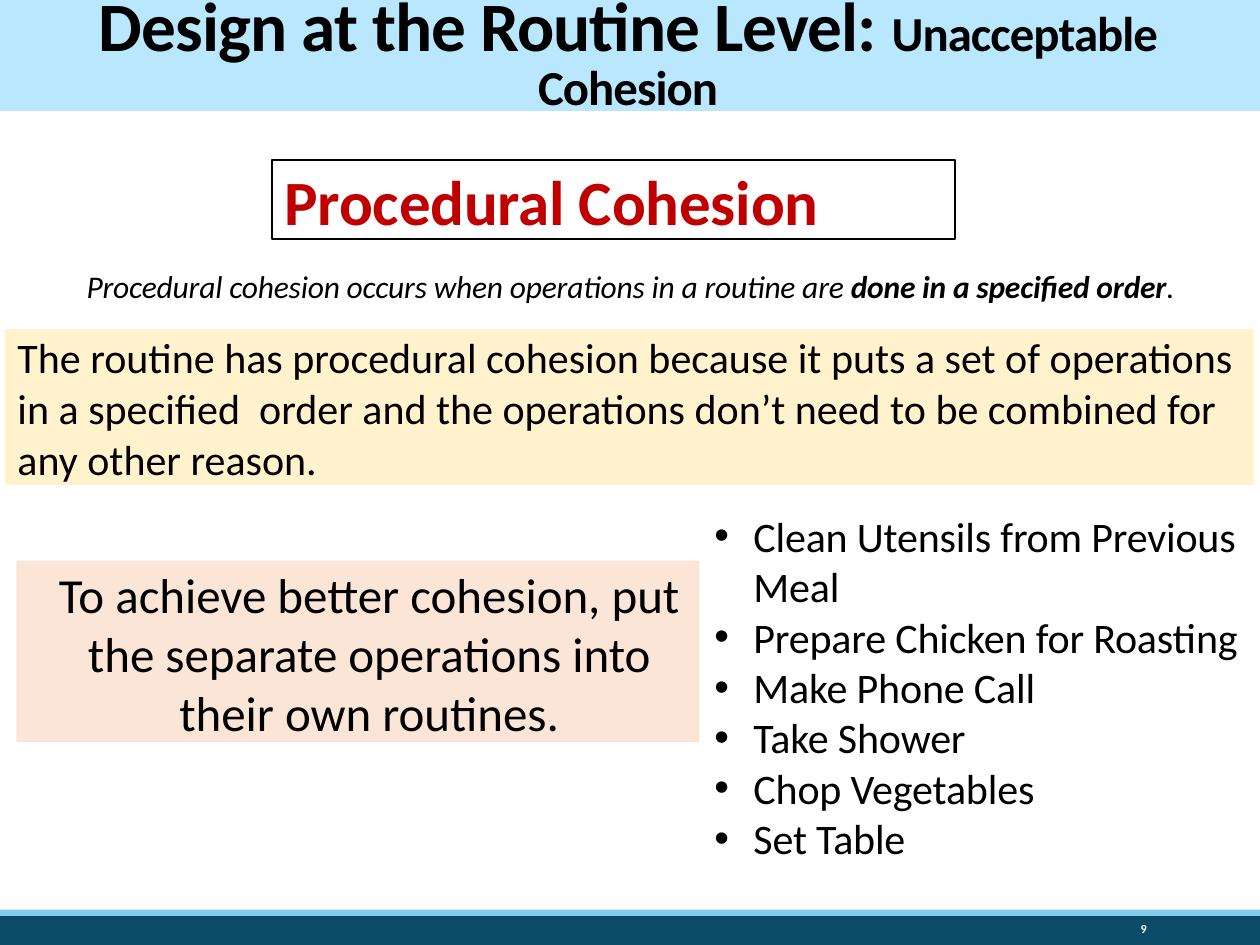
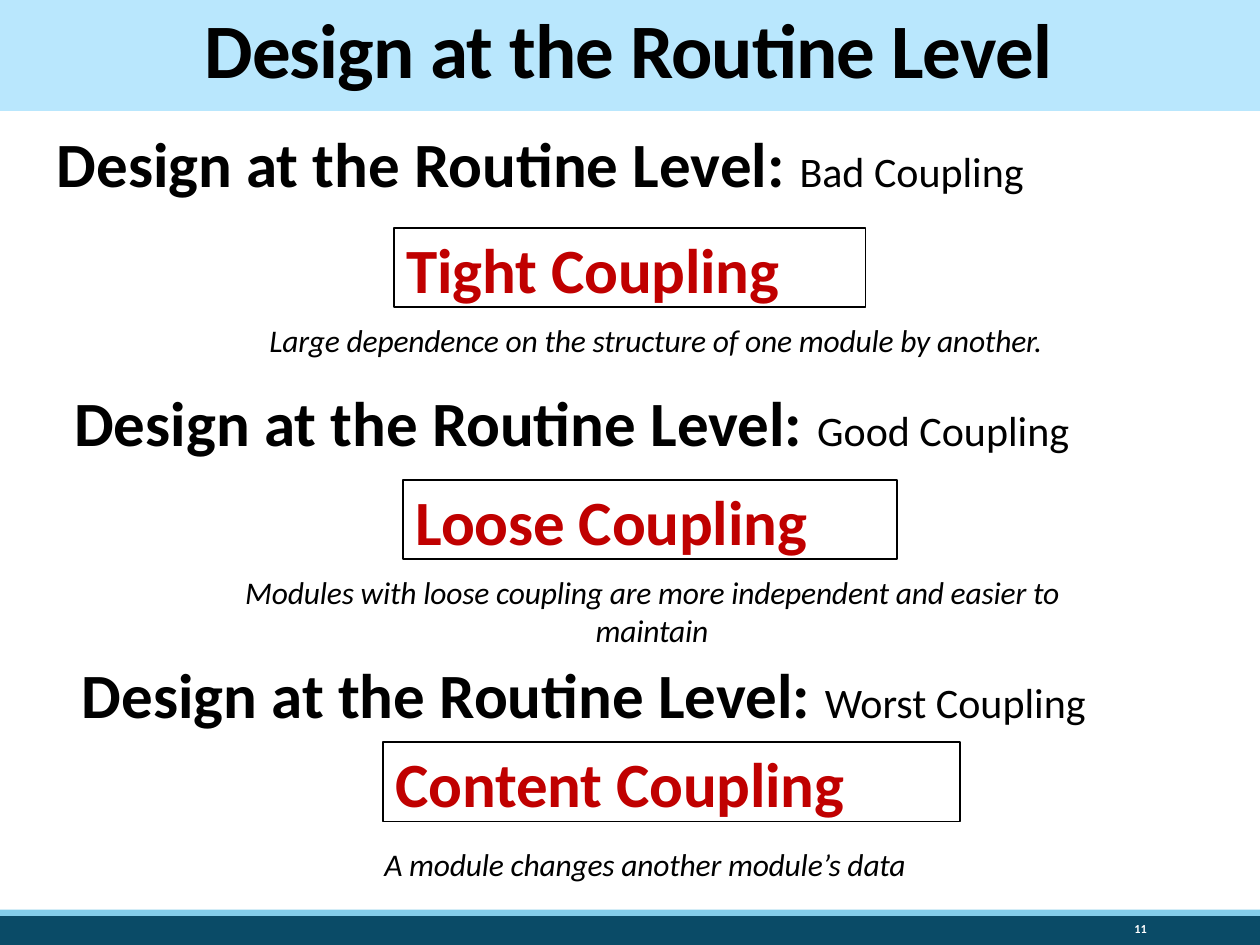
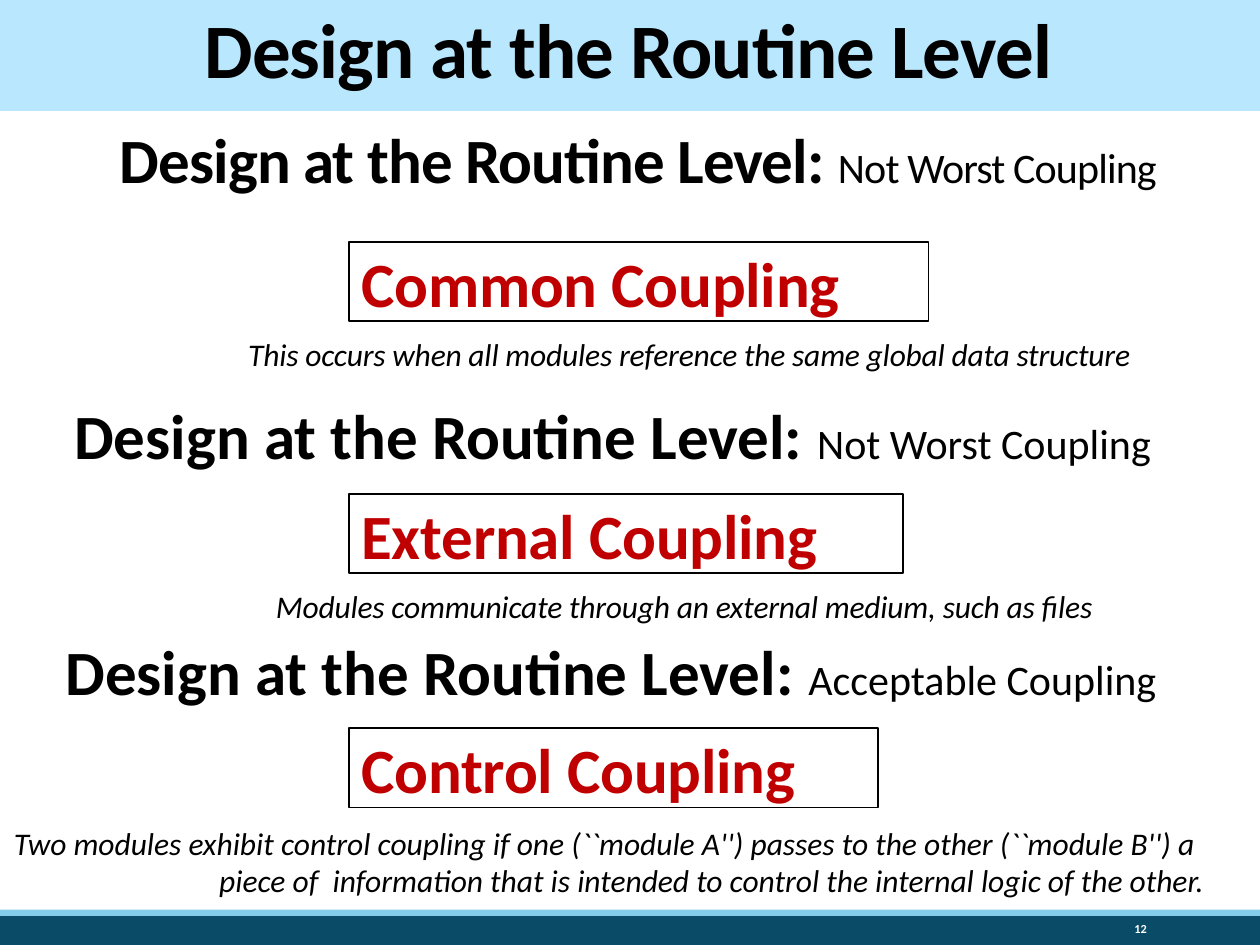
"""Build three slides on cohesion and coupling at the routine level."""
from pptx import Presentation, util as u
from pptx.dml.color import RGBColor
from pptx.enum import shapes, text
from lxml import etree

COLORS = {"ink": "000000", "red": "C00000", "white": "FFFFFF", "title": "B9E7FD",
          "footer": "0A4B67", "stripe": "84CDEA", "cream": "FFF2CC", "peach": "FBE5D6"}
FONT = "Calibri"
TOPIC = "Design at the Routine Level"
LEFT, CENTER, RIGHT = text.PP_ALIGN.LEFT, text.PP_ALIGN.CENTER, text.PP_ALIGN.RIGHT
MIDDLE = text.MSO_ANCHOR.MIDDLE

STYLES = {
    "title": dict(size=44, bold=True, spc=-50, align=CENTER, spacing=0.85, anchor=MIDDLE,
                  ins=(0.1, 0.05, 0.1, 0.05)),
    "number": dict(size=7, bold=True, color="white", align=RIGHT, spacing=0.9, anchor=MIDDLE,
                   ins=(0.1, 0.05, 0.1, 0.05)),
    "heading": dict(size=36, bold=True, ins=(0.01, 0.01, 0, 0)),
    "tag": dict(size=36, bold=True, color="red", spc=-10, ins=(0.1, 0.02, 0, 0)),
    "caption": dict(size=18, italic=True, spc=-10, ins=(0.01, 0.01, 0, 0)),
    "note": dict(size=24, spacing=1.01, ins=(0.1, 0.02, 0, 0)),
    "advice": dict(size=28, align=CENTER, ins=(0.18, 0.03, 0, 0)),
    "list": dict(size=24, spc=-10, hang=(0.33, -0.31), bullet="•", ins=(0, 0.01, 0, 0)),
}


class Deck:
    """Hold the shared style and the current slide."""

    def __init__(self):
        self.prs = Presentation()
        self.prs.slide_width, self.prs.slide_height = u.Inches(10), u.Inches(7.5)
        self.s = None

    def color(self, name):
        return RGBColor.from_string(COLORS[name])

    def slide(self, number, title=((TOPIC, {}),), layout=5):
        self.s = self.prs.slides.add_slide(self.prs.slide_layouts[layout])
        if len(self.prs.slides) == 1:
            self.master_bands()
        sp = self.place(self.s.shapes.title, (-0.03, -0.01, 10.03, 0.89))
        self.paint(sp, "title")
        self.fill_text(sp, [title], "title")
        self.label((8.12, 7.27, 1.08, 0.21), str(number), "number")

    def master_bands(self):
        tree = self.prs.slide_master.shapes.element
        bands = [("footer", 7.27, 0.24), ("stripe", 7.22, 0.05)]
        for i, (fill, top, height) in enumerate(bands):
            sp = self.rect((0, top, 10, height), fill)
            sp.element.nvSpPr.cNvPr.set("id", str(100 + i))
            tree.append(sp.element)

    def place(self, sp, at):
        for name, value in zip(("left", "top", "width", "height"), at):
            setattr(sp, name, u.Inches(value))
        return sp

    def paint(self, sp, fill):
        sp.fill.solid()
        sp.fill.fore_color.rgb = self.color(fill)

    def rect(self, at, fill=None):
        sp = self.s.shapes.add_shape(shapes.MSO_SHAPE.RECTANGLE, *map(u.Inches, at))
        sp.shadow.inherit = False
        if fill:
            self.paint(sp, fill)
            sp.line.fill.background()
        else:
            sp.fill.background()
            sp.line.color.rgb = self.color("ink")
            sp.line.width = u.Pt(1)
        return sp

    def fill_text(self, sp, paragraphs, style, **changes):
        fmt = {**STYLES[style], **changes}
        tf = sp.text_frame
        frame = dict(word_wrap=True, auto_size=text.MSO_AUTO_SIZE.NONE,
                     vertical_anchor=fmt.get("anchor", text.MSO_ANCHOR.TOP))
        for side, inset in zip(("left", "top", "right", "bottom"), fmt["ins"]):
            frame["margin_" + side] = u.Inches(inset)
        for name, value in frame.items():
            setattr(tf, name, value)
        for i, runs in enumerate(paragraphs):
            p = tf.add_paragraph() if i else tf.paragraphs[0]
            self.shape_paragraph(p, fmt)
            for words, extra in runs:
                self.add_words(p, words, {**fmt, **extra})

    def shape_paragraph(self, p, fmt):
        values = dict(alignment=fmt.get("align", LEFT), space_before=u.Pt(0),
                      space_after=u.Pt(0), line_spacing=fmt.get("spacing", 1.0))
        for name, value in values.items():
            setattr(p, name, value)
        pPr = p._p.get_or_add_pPr()
        for name, inches in zip(("marL", "indent"), fmt.get("hang", (0, 0))):
            pPr.set(name, str(u.Inches(inches)))
        if "bullet" in fmt:
            ns = pPr.nsmap["a"]
            etree.SubElement(pPr, f"{{{ns}}}buChar").set("char", fmt["bullet"])

    def add_words(self, p, words, fmt):
        r = p.add_run()
        r.text = words
        values = dict(name=FONT, size=u.Pt(fmt["size"]), bold=fmt.get("bold", False),
                      italic=fmt.get("italic", False))
        for name, value in values.items():
            setattr(r.font, name, value)
        r.font.color.rgb = self.color(fmt.get("color", "ink"))
        r._r.get_or_add_rPr().set("spc", str(fmt.get("spc", 0)))

    def label(self, at, words, style, **changes):
        runs = [(words, {})] if isinstance(words, str) else words
        sp = self.s.shapes.add_textbox(*map(u.Inches, at))
        self.fill_text(sp, [runs], style, **changes)

    def panel(self, at, words, style, fill=None):
        self.fill_text(self.rect(at, fill), [[(words, {})]], style)

    def tag(self, left, top, width, words):
        self.panel((left, top, width, 0.63), words, "tag")

    def heading(self, left, top, width, kind, **changes):
        runs = [(TOPIC + ": ", {}), (kind, dict(size=24, bold=False))]
        self.label((left, top, width, 0.62), runs, "heading", **changes)

    def caption(self, at, words, **changes):
        self.label(at, words, "caption", **changes)

    def bullets(self, at, items):
        sp = self.place(self.s.placeholders[1], at)
        self.fill_text(sp, [[(item, {})] for item in items], "list")


def cohesion(d):
    d.slide(9, [(TOPIC + ": ", dict(size=39.6)), ("Unacceptable Cohesion", dict(size=27.9))], 1)
    d.tag(2.16, 1.27, 5.42, "Procedural Cohesion")
    d.caption((0.21, 2.11, 9.58, 0.62),
              [("Procedural cohesion occurs when operations in a routine are ", {}),
               ("done in a specified order", dict(bold=True)), (".", {})], align=CENTER)
    d.panel((0.04, 2.61, 9.91, 1.24),
            "The routine has procedural cohesion because it puts a set of operations in a "
            "specified  order and the operations don’t need to be combined for any other reason.",
            "note", "cream")
    d.bullets((5.65, 4.04, 4.65, 2.82),
              ["Clean Utensils from Previous Meal", "Prepare Chicken for Roasting",
               "Make Phone Call", "Take Shower", "Chop Vegetables", "Set Table"])
    d.panel((0.13, 4.45, 5.42, 1.44),
            "To achieve better cohesion, put the separate operations into their own routines.",
            "advice", "peach")


def bad_to_worst(d):
    d.slide(11)
    d.heading(0.44, 0.98, 8.07, "Bad Coupling")
    d.tag(3.13, 1.81, 3.74, "Tight Coupling")
    d.caption((1.45, 2.54, 7.5, 0.32),
              "Large dependence on the structure of one module by another.", align=CENTER)
    d.heading(0.58, 3.03, 8.07, "Good Coupling")
    d.tag(3.2, 3.81, 3.92, "Loose Coupling")
    d.caption((1.7, 4.54, 6.94, 0.62),
              "Modules with loose coupling are more independent and easier to maintain",
              align=CENTER)
    d.heading(0.64, 5.19, 8.22, "Worst Coupling")
    d.tag(3.04, 5.89, 4.58, "Content Coupling")
    d.caption((3.04, 6.7, 4.87, 0.32), "A module changes another module’s data")


def not_worst_to_acceptable(d):
    d.slide(12)
    d.heading(0.58, 1.01, 8.97, "Not Worst Coupling", align=CENTER, spacing=0.85, spc=-50,
              anchor=MIDDLE, ins=(0.1, 0.01, 0.1, 0.05))
    d.tag(2.77, 1.92, 4.6, "Common Coupling")
    d.caption((1.96, 2.65, 7.89, 0.32),
              "This occurs when all modules reference the same global data structure")
    d.heading(0.58, 3.14, 8.97, "Not Worst Coupling")
    d.tag(2.77, 3.92, 4.4, "External Coupling")
    d.caption((2.18, 4.65, 7.58, 0.32),
              "Modules communicate through an external medium, such as files")
    d.heading(0.51, 5.01, 9.11, "Acceptable Coupling")
    d.tag(2.77, 5.78, 4.2, "Control Coupling")
    d.caption((0.1, 6.52, 9.9, 0.62),
              "Two modules exhibit control coupling if one (``module A'') passes to the other "
              "(``module B'') a piece of  information that is intended to control the internal "
              "logic of the other.",
              hang=(1.64, -1.63), spacing=u.Pt(20.9), spc=0, ins=(0, 0.03, 0, 0))


def main():
    d = Deck()
    for build in (cohesion, bad_to_worst, not_worst_to_acceptable):
        build(d)
    d.prs.save("out.pptx")


if __name__ == "__main__":
    main()
